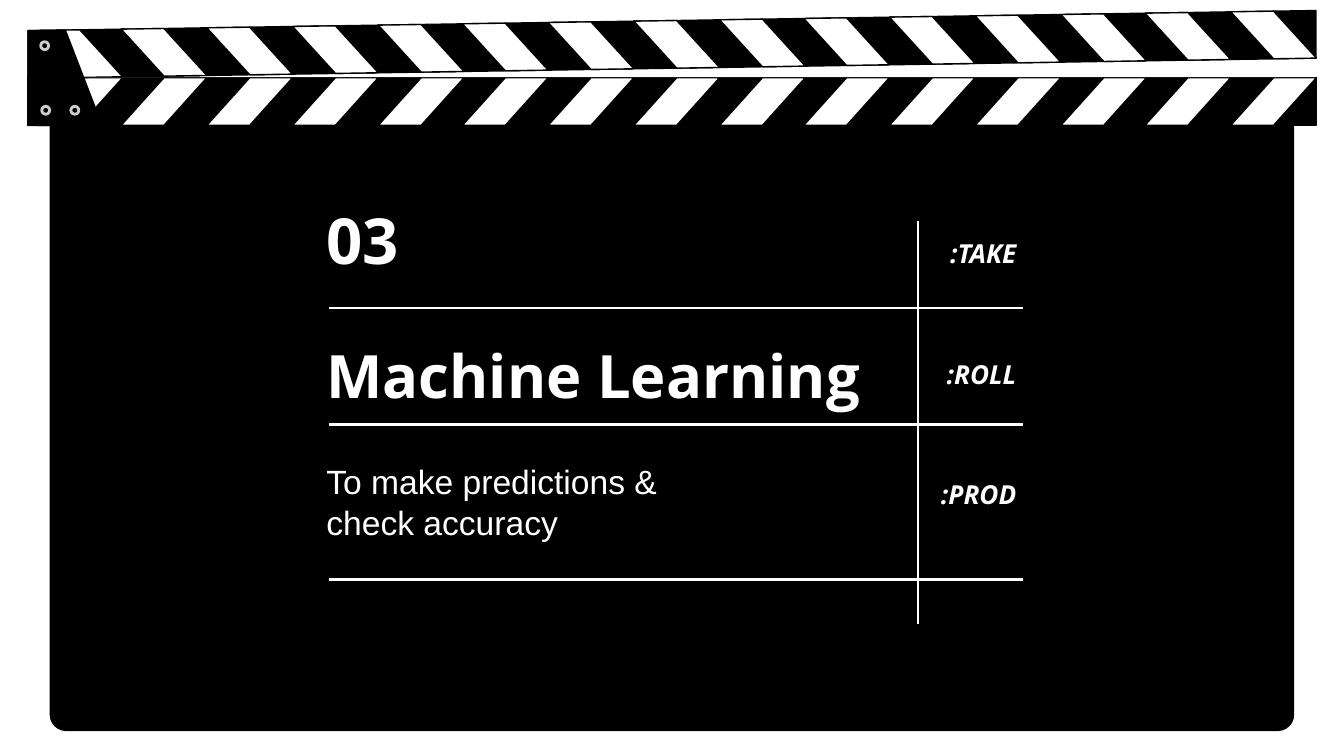
from dataclasses import dataclass

from lxml import etree
from pptx import Presentation
from pptx.dml.color import RGBColor
from pptx.enum.shapes import MSO_CONNECTOR, MSO_SHAPE
from pptx.enum.text import MSO_ANCHOR, MSO_AUTO_SIZE, PP_ALIGN
from pptx.oxml.ns import qn
from pptx.util import Cm, Pt

STRAIGHT = MSO_CONNECTOR.STRAIGHT
ROUNDED, OVAL = MSO_SHAPE.ROUNDED_RECTANGLE, MSO_SHAPE.OVAL
TOP, MIDDLE = MSO_ANCHOR.TOP, MSO_ANCHOR.MIDDLE
LEFT, RIGHT = PP_ALIGN.LEFT, PP_ALIGN.RIGHT
TITLE_ONLY = 5


@dataclass(frozen=True)
class Theme:
    black: RGBColor = RGBColor(0x00, 0x00, 0x00)
    white: RGBColor = RGBColor(0xFF, 0xFF, 0xFF)
    hinge: RGBColor = RGBColor(0x17, 0x17, 0x17)
    rivet: RGBColor = RGBColor(0xCC, 0xCC, 0xCC)
    heading_font: str = "Open Sans"
    body_font: str = "Arial"
    number_size: Pt = Pt(34)
    title_size: Pt = Pt(32)
    body_size: Pt = Pt(18)
    label_size: Pt = Pt(14)
    thin: Pt = Pt(0.75)
    thick: Pt = Pt(1.5)


THEME = Theme()

# Clapper geometry, in centimetres
BAR_LEFT, BAR_RIGHT = 0.53, 24.87
BAR_TOP, BAR_HEIGHT = 1.47, 0.9
BAR_BOTTOM = BAR_TOP + BAR_HEIGHT
ARM_LEFT_TOP, ARM_RIGHT_TOP = 0.58, 0.2
STRIPE_COUNT, STRIPE_WIDTH = 15, 0.81
STRIPES_PER_GROUP, GROUP_WIDTH = 4, 6.45
FIRST_GROUP_LEFT = 2.29


def paint(shape, fill, line=None, width=THEME.thin):
    shape.shadow.inherit = False
    shape.fill.solid()
    shape.fill.fore_color.rgb = fill
    if line is None:
        shape.line.fill.background()
    else:
        shape.line.color.rgb = line
        shape.line.width = width


def add_polygon(page, points, fill):
    start, *others = [(Cm(x), Cm(y)) for x, y in points]
    builder = page.shapes.build_freeform(*start)
    builder.add_line_segments(others, close=True)
    paint(builder.convert_to_shape(), fill, THEME.black)


def add_preset(page, kind, box, fill, line=None, width=THEME.thin):
    shape = page.shapes.add_shape(kind, *map(Cm, box))
    paint(shape, fill, line, width)
    return shape


def add_line(page, start, end, color=THEME.white, width=THEME.thick):
    line = page.shapes.add_connector(STRAIGHT, *map(Cm, (*start, *end)))
    line.line.color.rgb = color
    line.line.width = width
    properties = line.element.find(qn("p:spPr"))
    etree.SubElement(properties, qn("a:effectLst"))


def write(box, text, anchor, align, **font):
    frame = box.text_frame
    inset = Cm(0.25)
    frame_format = {
        "word_wrap": True, "auto_size": MSO_AUTO_SIZE.NONE, "vertical_anchor": anchor,
        "margin_left": inset, "margin_right": inset,
        "margin_top": inset, "margin_bottom": inset,
    }
    for name, value in frame_format.items():
        setattr(frame, name, value)
    para = frame.paragraphs[0]
    para.alignment = align
    span = para.add_run()
    span.text = text
    span.font.color.rgb = THEME.white
    for name, value in font.items():
        setattr(span.font, name, value)


def add_text(page, box, text, anchor=MIDDLE, align=LEFT, **font):
    write(page.shapes.add_textbox(*map(Cm, box)), text, anchor, align, **font)


def place_title(page, box, text, **font):
    title = page.shapes.title
    for name, value in zip(("left", "top", "width", "height"), box):
        setattr(title, name, Cm(value))
    # Bring the title in front of the board
    title.element.getparent().append(title.element)
    write(title, text, MIDDLE, LEFT, **font)


def stripe_left(index):
    group, place = divmod(index - 1, STRIPES_PER_GROUP)
    return FIRST_GROUP_LEFT + group * GROUP_WIDTH + place * 2 * STRIPE_WIDTH


def arm_top(x):
    slope = (ARM_RIGHT_TOP - ARM_LEFT_TOP) / (BAR_RIGHT - BAR_LEFT)
    return ARM_LEFT_TOP + slope * (x - BAR_LEFT)


def flat_top(x):
    return BAR_TOP


def add_striped_bar(page, top_at, leans_right):
    """Draw a black bar and its white stripes; top_at gives the upper edge at x."""
    add_polygon(page, [
        (BAR_LEFT, top_at(BAR_LEFT)), (BAR_RIGHT, top_at(BAR_RIGHT)),
        (BAR_RIGHT, top_at(BAR_RIGHT) + BAR_HEIGHT),
        (BAR_LEFT, top_at(BAR_LEFT) + BAR_HEIGHT),
    ], THEME.black)
    top_shift, bottom_shift = (STRIPE_WIDTH, 0) if leans_right else (0, STRIPE_WIDTH)
    for index in range(STRIPE_COUNT):
        upper = stripe_left(index) + top_shift
        lower = stripe_left(index) + bottom_shift
        add_polygon(page, [
            (upper, top_at(upper)),
            (upper + STRIPE_WIDTH, top_at(upper + STRIPE_WIDTH)),
            (lower + STRIPE_WIDTH, top_at(lower + STRIPE_WIDTH) + BAR_HEIGHT),
            (lower, top_at(lower) + BAR_HEIGHT),
        ], THEME.white)


def add_clapper(page):
    board = add_preset(page, ROUNDED, (0.94, 1.83, 23.52, 11.99), THEME.black)
    board.adjustments[0] = 0.026
    add_striped_bar(page, flat_top, leans_right=True)
    add_striped_bar(page, arm_top, leans_right=False)
    add_line(page, (BAR_LEFT, BAR_TOP), (BAR_RIGHT, BAR_TOP), THEME.hinge, THEME.thin)
    # Corner plate with rivets
    add_polygon(page, [
        (BAR_LEFT, ARM_LEFT_TOP), (BAR_LEFT, BAR_BOTTOM),
        (1.93, BAR_BOTTOM), (1.24, ARM_LEFT_TOP),
    ], THEME.black)
    for left, top in ((0.77, 0.79), (0.79, 2.01), (1.34, 2.01)):
        add_preset(page, OVAL, (left, top, 0.15, 0.15),
                   THEME.black, THEME.rivet, THEME.thick)


def main():
    deck = Presentation()
    deck.slide_width, deck.slide_height = Cm(25.4), Cm(14.29)
    page = deck.slides.add_slide(deck.slide_layouts[TITLE_ONLY])

    add_clapper(page)

    # Section heading
    heading = {"name": THEME.heading_font, "bold": True}
    place_title(page, (5.92, 6.25, 13.54, 1.65), "Machine Learning",
                size=THEME.title_size, **heading)
    add_text(page, (5.92, 3.35, 3.23, 2.34), "03", size=THEME.number_size, **heading)
    add_text(page, (5.92, 8.31, 6.78, 2.34), "To make predictions & check accuracy",
             name=THEME.body_font, size=THEME.body_size)

    # Slate labels
    for row, label in enumerate((":TAKE", ":ROLL", ":PROD")):
        add_text(page, (16.64, 4.24 + row * 2.28, 2.82, 0.74), label, TOP, RIGHT,
                 size=THEME.label_size, italic=True, **heading)

    # Slate rules
    for y in (5.82, 8.03, 10.95):
        add_line(page, (6.22, y), (19.33, y))
    add_line(page, (17.35, 4.17), (17.35, 11.79))

    deck.save("out.pptx")


if __name__ == "__main__":
    main()
